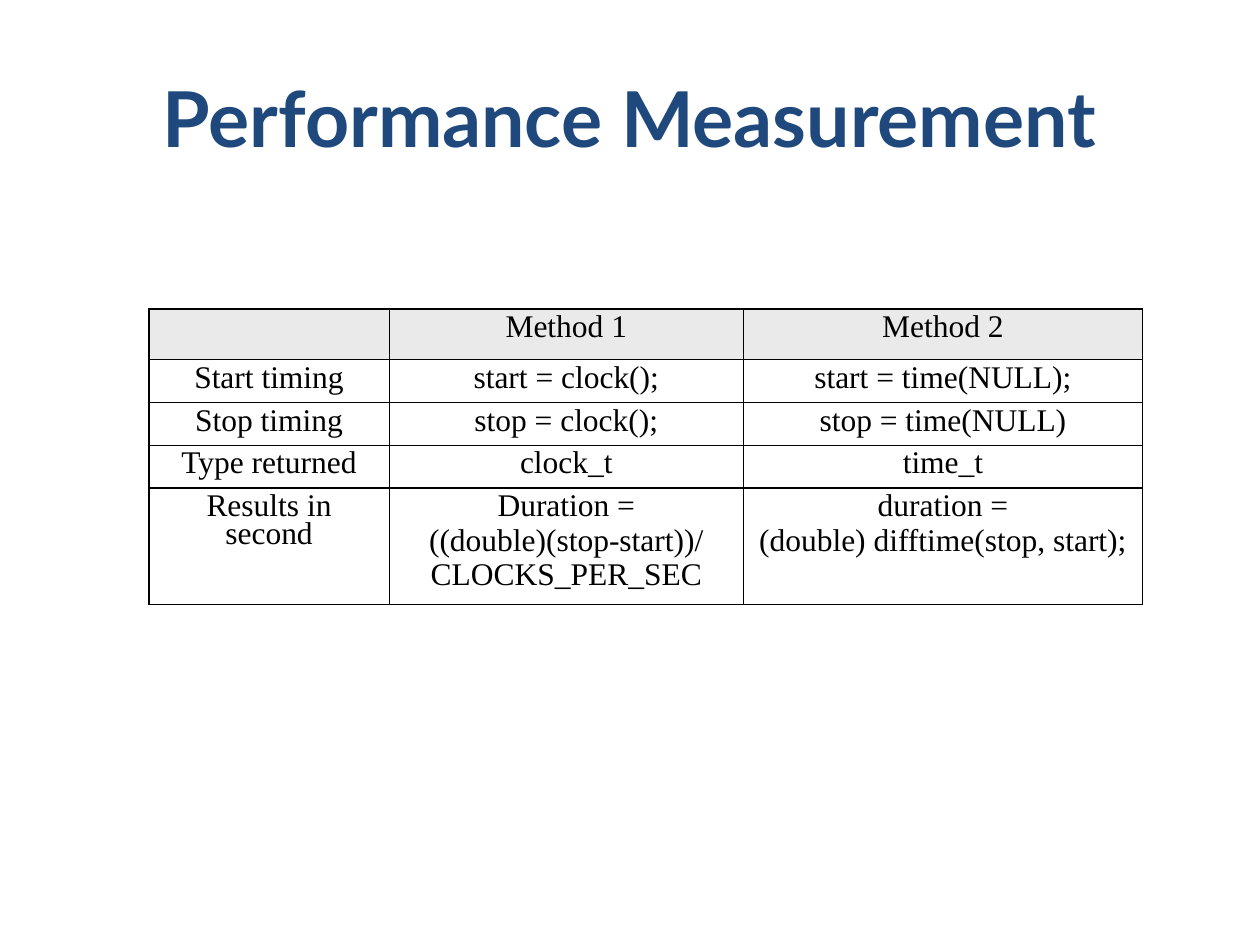
from pptx import Presentation
from pptx.dml.color import RGBColor
from pptx.enum.text import MSO_ANCHOR, PP_ALIGN
from pptx.oxml import parse_xml
from pptx.oxml.ns import nsdecls
from pptx.util import Pt

NAVY = RGBColor(0x1F, 0x49, 0x7D)
BLACK = RGBColor(0, 0, 0)
GRAY = RGBColor(0xEA, 0xEA, 0xEA)

TITLE_FONT = {"name": "Lato", "size": Pt(44), "bold": True}
CELL_FONT = {"name": "Times New Roman", "size": Pt(18), "bold": False}

COL_WIDTHS = [137.5, 202.3, 228.2]
ROW_HEIGHTS = [27.4, 23.1, 23.1, 23.1, 62.3]
ROWS = [
    ["", "Method 1", "Method 2"],
    ["Start timing", "start = clock();", "start = time(NULL);"],
    ["Stop timing", "stop = clock();", "stop = time(NULL)"],
    ["Type returned", "clock_t", "time_t"],
    [
        "Results in second",
        "Duration =\n((double)(stop-start))/\nCLOCKS_PER_SEC",
        "duration =\n(double) difftime(stop, start);",
    ],
]


class SlideBuilder:
    def __init__(self, prs):
        self.s = prs.slides.add_slide(prs.slide_layouts[6])

    def add_text(self, p, text, style, color):
        p.alignment = PP_ALIGN.CENTER
        if not text:
            return
        r = p.add_run()
        r.text = text
        for name, value in style.items():
            setattr(r.font, name, value)
        r.font.color.rgb = color

    def title(self, text, x, y, w, h):
        sp = self.s.shapes.add_textbox(Pt(x), Pt(y), Pt(w), Pt(h))
        tf = sp.text_frame
        tf.word_wrap = True
        tf.vertical_anchor = MSO_ANCHOR.MIDDLE
        self.add_text(tf.paragraphs[0], text, TITLE_FONT, NAVY)

    def border(self, cell):
        tc_pr = cell._tc.get_or_add_tcPr()
        for i, side in enumerate(("lnL", "lnR", "lnT", "lnB")):
            tc_pr.insert(i, parse_xml(
                f'<a:{side} {nsdecls("a")} w="{Pt(1)}"><a:solidFill>'
                f'<a:srgbClr val="{BLACK}"/></a:solidFill></a:{side}>'))

    def cell(self, cell, text, header):
        if header:
            cell.fill.solid()
            cell.fill.fore_color.rgb = GRAY
        else:
            cell.fill.background()
        self.border(cell)
        tf = cell.text_frame
        for i, line in enumerate(text.split("\n")):
            p = tf.add_paragraph() if i else tf.paragraphs[0]
            p.line_spacing = 0.8
            if i:
                p.space_before = Pt(3.6)
            self.add_text(p, line, CELL_FONT, BLACK)

    def table(self, rows, x, y, widths, heights):
        frame = self.s.shapes.add_table(
            len(rows), len(widths), Pt(x), Pt(y), Pt(sum(widths)), Pt(sum(heights)))
        table = frame.table
        table.first_row = table.horz_banding = False
        for column, width in zip(table.columns, widths):
            column.width = Pt(width)
        for i, (row, height) in enumerate(zip(rows, heights)):
            table.rows[i].height = Pt(height)
            for j, text in enumerate(row):
                self.cell(table.cell(i, j), text, header=i == 0)


def main():
    prs = Presentation()
    prs.slide_width, prs.slide_height = Pt(720), Pt(540)
    builder = SlideBuilder(prs)
    builder.title("Performance Measurement", 36, 21.6, 648, 90)
    builder.table(ROWS, 85, 176.6, COL_WIDTHS, ROW_HEIGHTS)
    prs.save("out.pptx")


if __name__ == "__main__":
    main()
